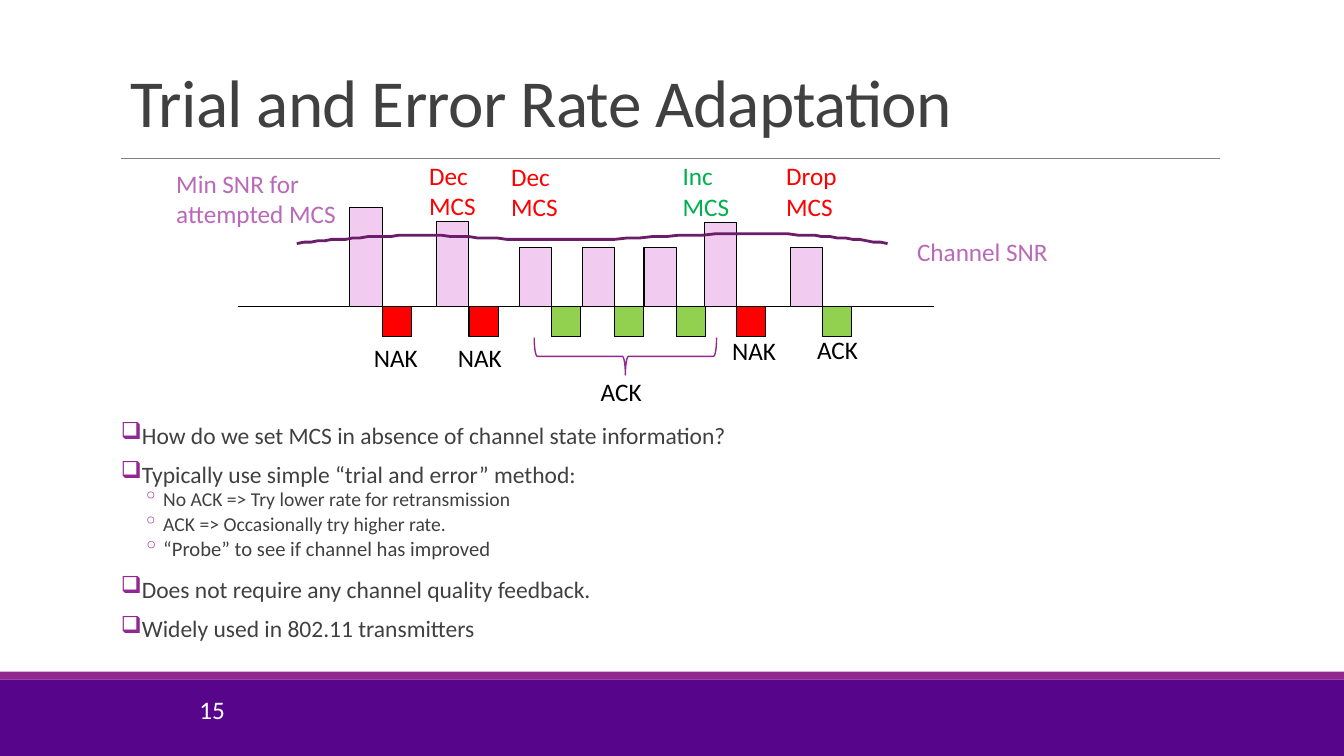
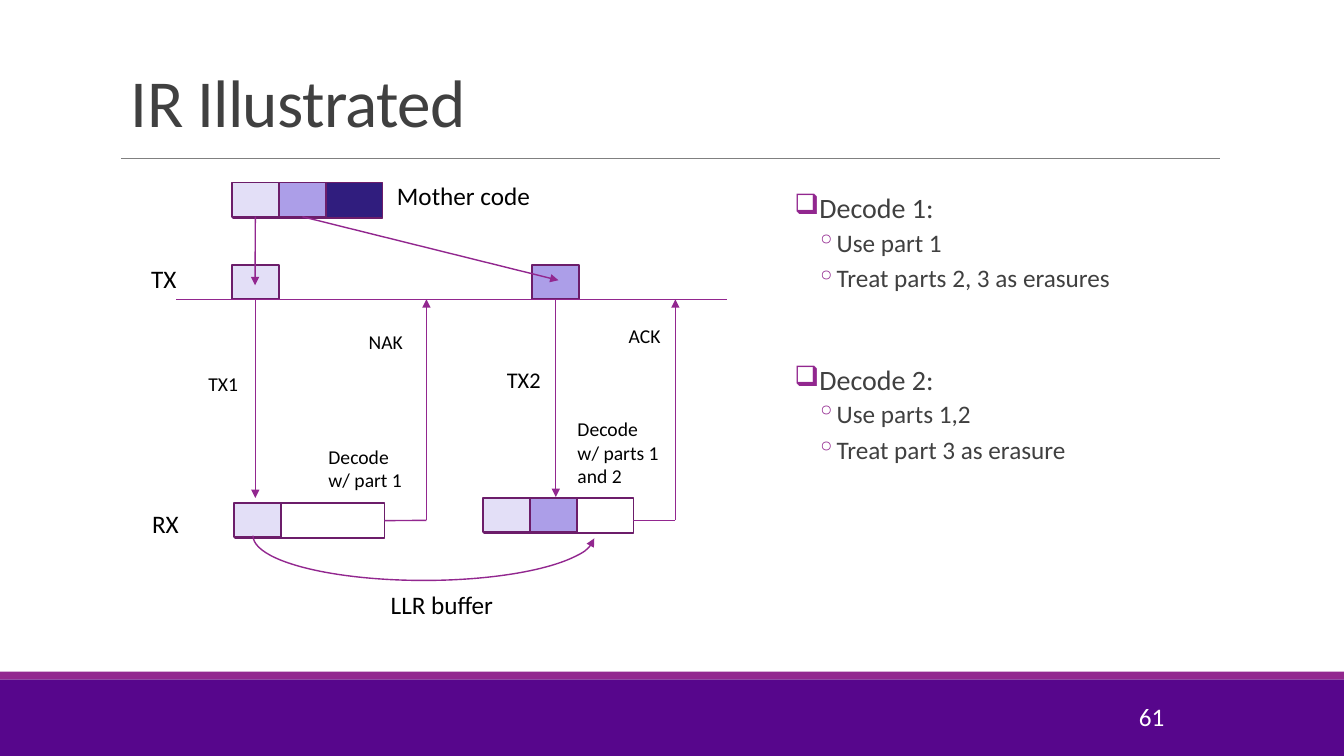
import pptx
import pptx.util
import pptx.dml.color
import pptx.enum.shapes
import pptx.enum.text
import pptx.oxml
import pptx.oxml.ns

Pt = pptx.util.Pt
SHAPE = pptx.enum.shapes.MSO_SHAPE
ANCHOR = pptx.enum.text.MSO_ANCHOR
ALIGN = pptx.enum.text.PP_ALIGN

FONT = "Calibri"
PURPLE, VIOLET, PLUM, MAUVE = "57068C", "92278F", "6C1D6A", "BA69B8"
GREY, DARK, BLACK, WHITE = "808080", "404040", "000000", "FFFFFF"
PINK, RED, GREEN, INC_GREEN = "F1CCF0", "FF0000", "92D050", "00B050"
PART_COLORS = ["E3DFF7", "AC9EE8", "301D7E"]

ADAPTATION_TITLE = "Trial and Error Rate Adaptation"
ADAPTATION_BULLETS = [
    (0, "How do we set MCS in absence of channel state information?", 16.8, 12),
    (0, "Typically use simple “trial and error” method:", 16.8, 12),
    (1, "No ACK => Try lower rate for retransmission", 14, 2),
    (1, "ACK => Occasionally try higher rate.", 14, 2),
    (1, "“Probe” to see if channel has improved", 14.7, 2),
    (0, "Does not require any channel quality feedback.", 16.8, 12),
    (0, "Widely used in 802.11 transmitters", 16.8, 12),
]
ATTEMPTS = [
    (250, 148.5, RED), (312, 158.5, RED), (371, 177, GREEN), (416, 177, GREEN),
    (460, 177, GREEN), (503, 159, RED), (564.5, 177, GREEN),
]
SNR_LABELS = [
    ("Channel SNR", (648, 165, 114, 29)),
    ("Min SNR for attempted MCS", (118.8, 116.5, 152.6, 51)),
]
MCS_LABELS = [
    ("Dec\nMCS", 299.5, 111, RED), ("Dec\nMCS", 358, 111.6, RED),
    ("Inc\nMCS", 480.5, 111.3, INC_GREEN), ("Drop\nMCS", 554.5, 111.3, RED),
]
REPLY_LABELS = [
    ("NAK", 260, 241), ("NAK", 320, 241), ("ACK", 422, 265.5),
    ("NAK", 515.8, 236.2), ("ACK", 576.5, 235.5),
]
SNR_START = (212.4, 173.5)
SNR_CURVES = [
    ((238.3, 171.4), (264.2, 168.5), (296.6, 168.2)),
    ((329, 167.8), (365, 172), (406, 171.4)),
    ((447, 171.4), (504.7, 166.3), (542.9, 167)),
    ((581, 167), (607.7, 170.6), (634.3, 174)),
]

IR_TITLE = "IR Illustrated"
IR_BULLETS = [
    (0, "Decode 1:", 20, 12),
    (1, "Use part 1", 18, 2),
    (1, "Treat parts 2, 3 as erasures", 18, 2),
    (0, "Decode 2:", 20, 48),
    (1, "Use parts 1,2", 18, 2),
    (1, "Treat part 3 as erasure", 18, 2),
]
IR_LABELS = [
    ("TX1", (141.8, 262, 64.8, 24.5), 14), ("NAK", (256.3, 231.8, 64.8, 24.5), 14),
    ("ACK", (442, 227.5, 64.8, 24.5), 14), ("TX2", (355, 257.8, 39, 26.6), 16),
    ("Decode w/ part 1", (227.5, 314, 72.7, 41), 14),
    ("Decode w/ parts 1 and 2", (405.4, 294.5, 72.7, 58.3), 14),
    ("LLR buffer", (272, 417.6, 133, 29), 18),
    ("Mother code", (276.5, 125.3, 111, 29), 18),
    ("TX", (100.8, 184.3, 40, 29), 18), ("RX", (101.5, 359.3, 40, 29), 18),
]
TIMELINE_Y, FEEDBACK_Y = 213.8, 371.7
PART_W, PART_H, CODE_W, CODE_H = 33.6, 24.5, 106.6, 25.2


def rgb(color):
    return pptx.dml.color.RGBColor.from_string(color)


def add_text(frame, text, size=18, color=BLACK, para=None, spacing=None,
             align=None, line_spacing=None, before=None, after=None):
    para = para or frame.paragraphs[0]
    para.alignment = align
    para.line_spacing = line_spacing
    para.space_before = None if before is None else Pt(before)
    para.space_after = None if after is None else Pt(after)
    for index, line in enumerate(text.split("\n")):
        if index:
            para.add_line_break()
        span = para.add_run()
        span.text = line
        span.font.name = FONT
        span.font.size = Pt(size)
        span.font.color.rgb = rgb(color)
        if spacing is not None:
            span.font._element.set("spc", str(spacing))
    return para


def add_box(page, place, anchor=ANCHOR.TOP, wrap=True):
    frame = page.shapes.add_textbox(*map(Pt, place)).text_frame
    frame.word_wrap = wrap
    frame.vertical_anchor = anchor
    return frame


def add_label(page, text, place, anchor=ANCHOR.TOP, wrap=True, **style):
    add_text(add_box(page, place, anchor, wrap), text, **style)


def add_bullets(page, items, place, line_spacing):
    frame = add_box(page, place)
    frame.margin_left = frame.margin_right = 0
    for index, (level, text, size, before) in enumerate(items):
        para = frame.add_paragraph() if index else frame.paragraphs[0]
        add_text(frame, text, size=size, color=DARK, para=para, before=before,
                 after=4 if level else 2, line_spacing=line_spacing)
        para.level = level
        margin, hanging, mark = [(7.2, 7.2, "❑"), (30.2, 14.4, "◦")][level]
        props = para._p.get_or_add_pPr()
        props.set("marL", str(Pt(margin)))
        props.set("indent", str(-Pt(hanging)))
        color = pptx.oxml.parse_xml(
            f'<a:buClr {pptx.oxml.ns.nsdecls("a")}><a:srgbClr val="{VIOLET}"/></a:buClr>')
        bullet = pptx.oxml.parse_xml(
            f'<a:buChar {pptx.oxml.ns.nsdecls("a")} char="{mark}"/>')
        props.extend([color, bullet])


def paint(shape, fill=None, line=None, width=0.75):
    shape.shadow.inherit = False
    if fill:
        shape.fill.solid()
        shape.fill.fore_color.rgb = rgb(fill)
    else:
        shape.fill.background()
    if line:
        shape.line.color.rgb = rgb(line)
        shape.line.width = Pt(width)
    else:
        shape.line.fill.background()
    return shape


def add_shape(page, place, kind=SHAPE.RECTANGLE, **style):
    return paint(page.shapes.add_shape(kind, *map(Pt, place)), **style)


def add_arrowhead(shape, end):
    shape.line._get_or_add_ln().append(pptx.oxml.parse_xml(
        f'<a:{end} {pptx.oxml.ns.nsdecls("a")} type="triangle"/>'))


def add_line(page, start, end, color=VIOLET, width=1, arrow=False, source=None):
    line = page.shapes.add_connector(
        pptx.enum.shapes.MSO_CONNECTOR.STRAIGHT, *map(Pt, start + end))
    line.line.color.rgb = rgb(color)
    line.line.width = Pt(width)
    line._element.spPr.append(pptx.oxml.parse_xml(
        f'<a:effectLst {pptx.oxml.ns.nsdecls("a")}/>'))
    if arrow:
        add_arrowhead(line, "tailEnd")
    if source:
        line.begin_connect(*source)


def add_page(deck, title, number, number_place):
    page = deck.slides.add_slide(deck.slide_layouts[6])
    add_shape(page, (0, 485.3, 960, 54.7), fill=PURPLE)
    add_shape(page, (0, 479.8, 960, 5.5), fill=VIOLET)
    add_line(page, (86.4, 113), (871.2, 113), color=GREY, width=0.5)
    add_label(page, title, (86.4, 22.3, 792, 82), anchor=ANCHOR.BOTTOM,
              size=48, color=DARK, spacing=-50, line_spacing=0.85)
    add_label(page, number, number_place, anchor=ANCHOR.MIDDLE,
              color=WHITE, align=ALIGN.RIGHT)
    return page


def curve_points(start, curves, steps=16):
    for first, second, end in curves:
        for step in range(1, steps + 1):
            t = step / steps
            yield tuple(
                (1 - t) ** 3 * a + 3 * (1 - t) ** 2 * t * b
                + 3 * (1 - t) * t ** 2 * c + t ** 3 * d
                for a, b, c, d in zip(start, first, second, end))
        start = end


def build_adaptation(deck):
    page = add_page(deck, ADAPTATION_TITLE, "15", (131.8, 489, 36, 36))
    add_bullets(page, ADAPTATION_BULLETS, (86.4, 302.4, 821.5, 171.4), 0.7)
    baseline, bar_width = 219, 23
    add_line(page, (170, baseline), (667.4, baseline), color=BLACK, width=0.75)
    for left, top, reply in ATTEMPTS:
        add_shape(page, (left, top, bar_width, baseline - top), fill=PINK, line=BLACK)
        add_shape(page, (left + bar_width, baseline, 20.9, 21.6), fill=reply, line=BLACK)
    for text, place in SNR_LABELS:
        add_label(page, text, place, color=MAUVE)
    for text, left, top, color in MCS_LABELS:
        add_label(page, text, (left, top, 55, 51), wrap=False, color=color)
    for text, left, top in REPLY_LABELS:
        add_label(page, text, (left, top, 62, 29))
    brace = add_shape(page, (433.4, 189.4, 26.6, 130.3), SHAPE.RIGHT_BRACE,
                      line=VIOLET, width=1)
    brace.rotation = 90
    builder = page.shapes.build_freeform(*SNR_START, scale=Pt(1))
    builder.add_line_segments(curve_points(SNR_START, SNR_CURVES), close=False)
    paint(builder.convert_to_shape(), line=PLUM, width=2)


def add_parts(page, left, top, colors):
    return [
        add_shape(page, (left + index * PART_W, top, PART_W, PART_H),
                  fill=color, line=PLUM, width=1.25)
        for index, color in enumerate(colors)]


def add_code(page, left, top, colors, fill=None):
    whole = add_shape(page, (left + 1, top, CODE_W, CODE_H),
                      fill=fill, line=PLUM, width=1.25)
    return whole, add_parts(page, left, top, colors)


def build_ir(deck):
    page = add_page(deck, IR_TITLE, "61", (735.8, 497.5, 103, 29))
    add_bullets(page, IR_BULLETS, (567.4, 135.4, 236.2, 285.8), 0.9)
    mother, parts = add_code(page, 165.6, 130.3, PART_COLORS[:2], fill=PART_COLORS[2])
    received, first_part = add_code(page, 167, 359.3, PART_COLORS[:1])
    add_code(page, 344.9, 355.7, PART_COLORS[:2])
    packets = [
        add_parts(page, left, TIMELINE_Y - PART_H, [color])[0]
        for left, color in zip((165.6, 380.2), PART_COLORS)]
    add_line(page, (126, TIMELINE_Y), (519, TIMELINE_Y))
    for packet, x, bottom in zip(packets, (182.4, 397), (355.7, 355)):
        add_line(page, (x, TIMELINE_Y), (x, bottom), arrow=True, source=(packet, 2))
    for part, start, end in zip(parts, ((182.4, 154.8), (216, 154.8)),
                                ((182.2, 203.8), (398.9, 200.2))):
        add_line(page, start, end, arrow=True, source=(part, 2))
    for left, x, source in ((274.6, 304.6, (received, 3)), (452.5, 482.4, None)):
        add_line(page, (left, FEEDBACK_Y), (x, FEEDBACK_Y), source=source)
        add_line(page, (x, FEEDBACK_Y), (x, TIMELINE_Y), arrow=True)
    buffer_arc = add_shape(page, (180.7, 350.6, 244, 64), SHAPE.ARC, line=VIOLET, width=1)
    buffer_arc.rotation = 180
    buffer_arc.adjustments[0] = 108.55
    buffer_arc.adjustments[1] = 0
    add_arrowhead(buffer_arc, "headEnd")
    for text, place, size in IR_LABELS:
        add_label(page, text, place, size=size)


def main():
    deck = pptx.Presentation()
    deck.slide_width, deck.slide_height = Pt(960), Pt(540)
    build_adaptation(deck)
    build_ir(deck)
    deck.save("out.pptx")


if __name__ == "__main__":
    main()
